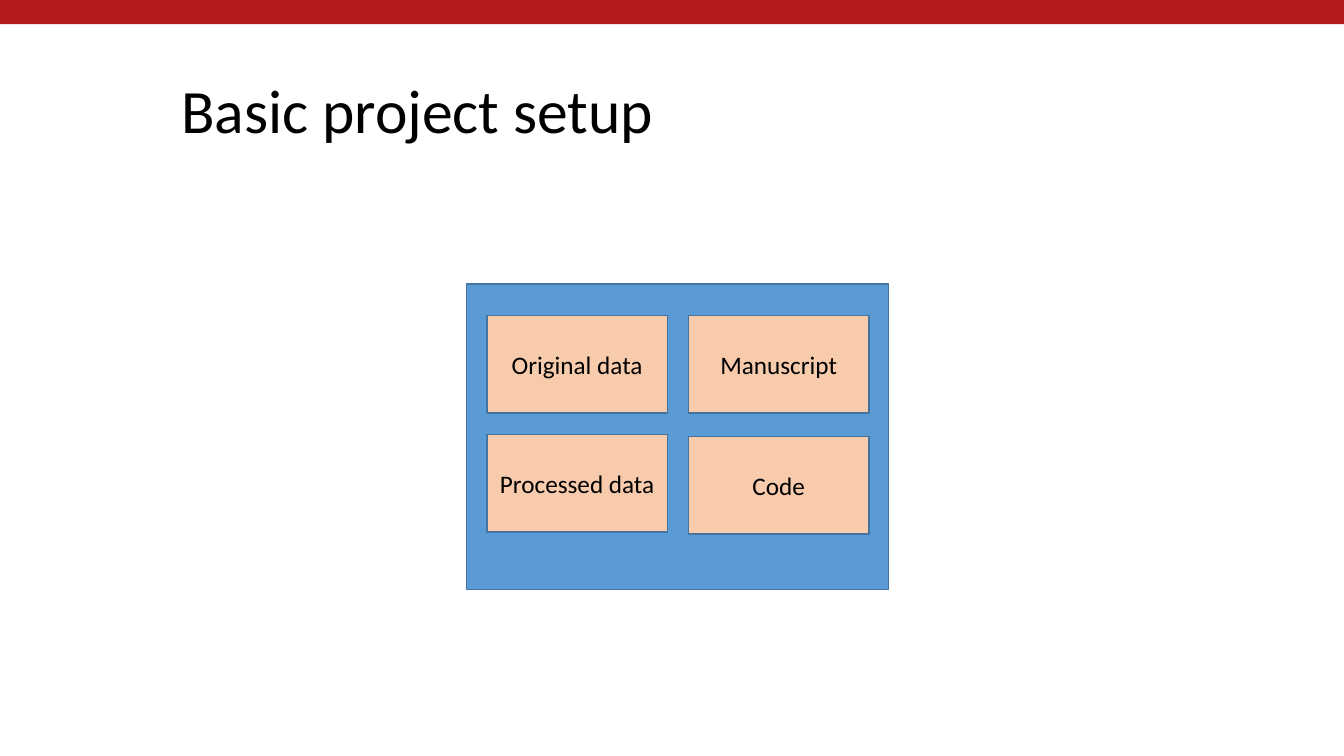
"""Build the "Basic project setup" slide: a project folder holding four parts."""
from pptx import Presentation
from pptx.dml.color import RGBColor
from pptx.enum.shapes import MSO_SHAPE
from pptx.enum.text import MSO_ANCHOR, PP_ALIGN
from pptx.util import Cm, Pt

TITLE = "Basic project setup"
FOLDER_COLUMNS = [
    {"row_pitch": 3.0, "parts": ["Original data", "Processed data"]},
    {"row_pitch": 3.05, "parts": ["Manuscript", "Code"]},
]

RECTANGLE = MSO_SHAPE.RECTANGLE
MIDDLE = MSO_ANCHOR.MIDDLE
LEFT, CENTER = PP_ALIGN.LEFT, PP_ALIGN.CENTER

RED = RGBColor(0xB3, 0x1B, 0x1B)
BLUE = RGBColor(0x5B, 0x9B, 0xD5)
OUTLINE = RGBColor(0x43, 0x73, 0x9E)
PEACH = RGBColor(0xF8, 0xCB, 0xAD)
BLACK = RGBColor(0, 0, 0)
FONT = "Calibri"

SLIDE_W, SLIDE_H = 33.87, 19.05
BANNER_H = 0.61
TITLE_BOX = (4.32, 1.02, 27.23, 3.68)
FOLDER_BOX = (11.76, 7.16, 10.64, 7.7)
PARTS_LEFT, PARTS_TOP = 12.27, 7.95
PART_W, PART_H = 4.55, 2.46
COLUMN_PITCH = 5.08


def add_rectangle(shapes, box, fill, outline=None):
    rectangle = shapes.add_shape(RECTANGLE, *map(Cm, box))
    rectangle.shadow.inherit = False
    rectangle.fill.solid()
    rectangle.fill.fore_color.rgb = fill
    if outline is None:
        rectangle.line.fill.background()
    else:
        rectangle.line.color.rgb = outline
        rectangle.line.width = Pt(1)
    return rectangle


def write(holder, text, size, align):
    frame = holder.text_frame
    frame.word_wrap = True
    frame.vertical_anchor = MIDDLE
    frame.text = text
    paragraph = frame.paragraphs[0]
    paragraph.alignment = align
    font = paragraph.runs[0].font
    font.name, font.size = FONT, Pt(size)
    font.color.rgb = BLACK
    return paragraph


def main():
    deck = Presentation()
    deck.slide_width, deck.slide_height = Cm(SLIDE_W), Cm(SLIDE_H)
    slide = deck.slides.add_slide(deck.slide_layouts[6])

    add_rectangle(slide.shapes, (0, 0, SLIDE_W, BANNER_H), RED)
    title = slide.shapes.add_textbox(*map(Cm, TITLE_BOX))
    write(title, TITLE, 44, LEFT).line_spacing = 0.9

    project = slide.shapes.add_group_shape()
    add_rectangle(project.shapes, FOLDER_BOX, BLUE, OUTLINE)
    for col, column in enumerate(FOLDER_COLUMNS):
        left = PARTS_LEFT + col * COLUMN_PITCH
        for row, name in enumerate(column["parts"]):
            top = PARTS_TOP + row * column["row_pitch"]
            part = add_rectangle(project.shapes, (left, top, PART_W, PART_H), PEACH, OUTLINE)
            write(part, name, 18, CENTER)

    deck.save("out.pptx")


if __name__ == "__main__":
    main()
